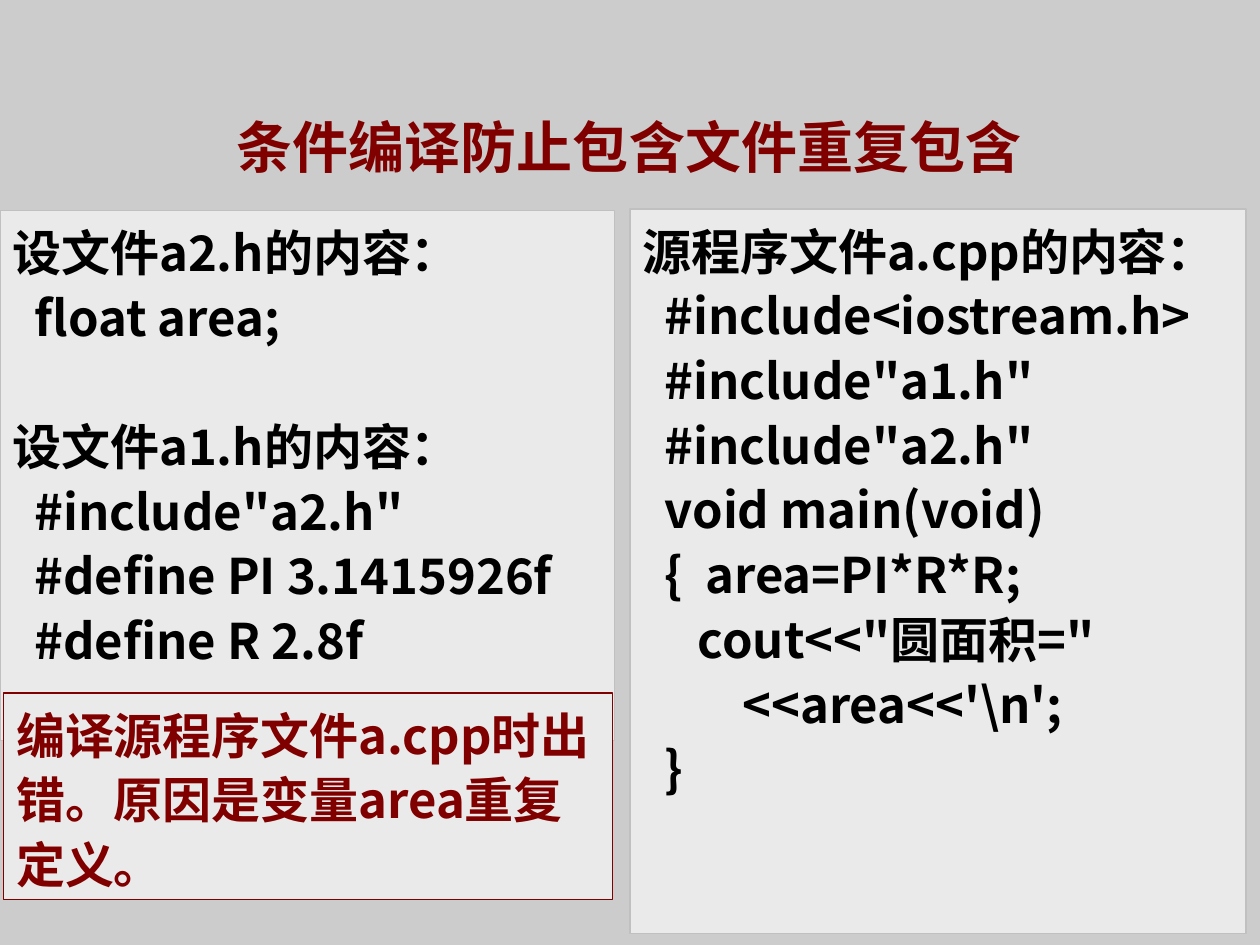
from pptx import Presentation
from pptx.dml.color import RGBColor
from pptx.enum.shapes import MSO_SHAPE
from pptx.enum.text import MSO_ANCHOR, PP_ALIGN
from pptx.oxml.ns import qn
from pptx.util import Inches, Pt

RECT = MSO_SHAPE.RECTANGLE
TOP, MIDDLE = MSO_ANCHOR.TOP, MSO_ANCHOR.MIDDLE
LEFT, CENTER = PP_ALIGN.LEFT, PP_ALIGN.CENTER


def rgb(value):
    return RGBColor.from_string(value)


def write(p, text, size=28, color="000000", font="Noto Sans CJK SC",
          align=LEFT, spacing=1.1, before=0):
    p.alignment = align
    p.line_spacing = spacing
    p.space_before = Pt(before)
    r = p.add_run()
    r.text = text
    f = r.font
    f.size, f.bold, f.name = Pt(size), True, font
    f.color.rgb = rgb(color)
    ea = r._r.get_or_add_rPr().makeelement(qn("a:ea"), {"typeface": font})
    r._r.rPr.append(ea)


class Deck:
    BACK, PANEL, EDGE, ACCENT = "CCCCCC", "EAEAEA", "C0C0C0", "800000"

    def __init__(self):
        self.prs = Presentation()
        self.prs.slide_width, self.prs.slide_height = Inches(10), Inches(7.5)
        self.s = self.prs.slides.add_slide(self.prs.slide_layouts[5])
        fill = self.s.background.fill
        fill.solid()
        fill.fore_color.rgb = rgb(self.BACK)

    def title(self, text, x, y, w, h):
        sp = self.s.shapes.title
        sp.left, sp.top, sp.width, sp.height = map(Inches, (x, y, w, h))
        tf = sp.text_frame
        tf.vertical_anchor = MIDDLE
        write(tf.paragraphs[0], text, size=32, color=self.ACCENT,
              align=CENTER, spacing=1.5)

    def panel(self, lines, x, y, w, h, edge=EDGE, color="000000", gaps=None):
        """Draw a box of lines; gaps maps a line index to the space before it."""
        sp = self.s.shapes.add_shape(RECT, *map(Inches, (x, y, w, h)))
        sp.shadow.inherit = False
        sp.fill.solid()
        sp.fill.fore_color.rgb = rgb(self.PANEL)
        sp.line.color.rgb = rgb(edge)
        sp.line.width = Pt(0.75)
        tf = sp.text_frame
        tf.word_wrap = True
        tf.vertical_anchor = TOP
        for i, text in enumerate(lines):
            p = tf.add_paragraph() if i else tf.paragraphs[0]
            write(p, text, color=color, before=(gaps or {}).get(i, 0))


def main():
    deck = Deck()
    deck.title("条件编译防止包含文件重复包含", 0.08, 0.58, 9.83, 0.9)

    # Header files
    deck.panel([
        "设文件a2.h的内容：",
        "  float area;",
        "设文件a1.h的内容：",
        '  #include"a2.h"',
        "  #define PI 3.1415926f",
        "  #define R 2.8f",
    ], 0, 1.67, 4.88, 4.21, gaps={2: 37})

    # Source program
    deck.panel([
        "源程序文件a.cpp的内容：",
        "  #include<iostream.h>",
        '  #include"a1.h"',
        '  #include"a2.h"',
        "  void main(void)",
        "  {  area=PI*R*R;",
        '     cout<<"圆面积="',
        "         <<area<<'\\n';",
        "  }",
    ], 5, 1.66, 4.89, 5.75)

    # Compile error
    deck.panel(["编译源程序文件a.cpp时出错。原因是变量area重复定义。"],
               0.03, 5.5, 4.83, 1.64, edge=deck.ACCENT, color=deck.ACCENT)

    deck.prs.save("out.pptx")


if __name__ == "__main__":
    main()
